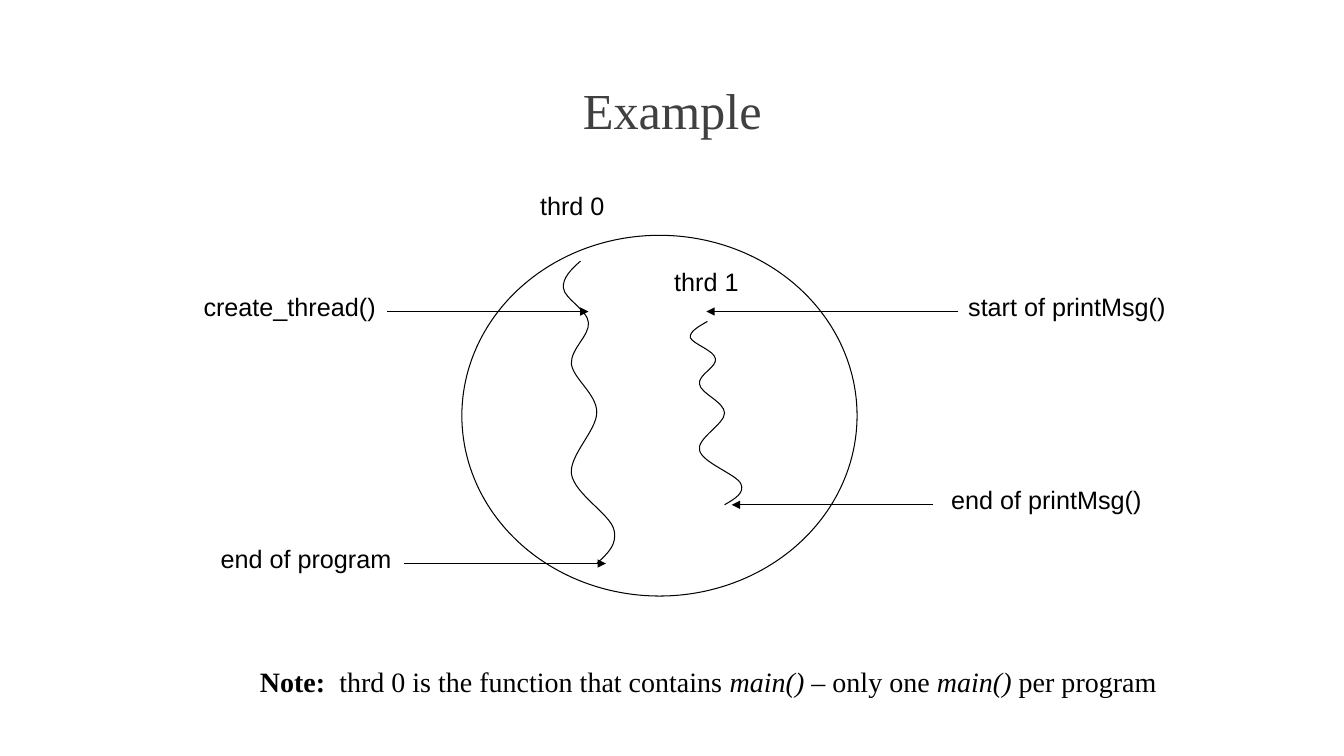
from lxml import etree
from pptx import Presentation
from pptx.dml.color import RGBColor
from pptx.enum.shapes import MSO_CONNECTOR, MSO_SHAPE
from pptx.enum.text import MSO_ANCHOR, MSO_AUTO_SIZE, PP_ALIGN
from pptx.oxml.ns import qn
from pptx.util import Cm, Pt

OVAL = MSO_SHAPE.OVAL
STRAIGHT = MSO_CONNECTOR.STRAIGHT
MIDDLE = MSO_ANCHOR.MIDDLE
FIT_SHAPE = MSO_AUTO_SIZE.SHAPE_TO_FIT_TEXT
FIXED_SIZE = MSO_AUTO_SIZE.NONE
CENTER = PP_ALIGN.CENTER

BLACK = "000000"
TITLE_FORMAT = {"name": "Times New Roman", "size": Pt(36), "color": "404040"}
LABEL_FORMAT = {"name": "Arial", "size": Pt(18), "color": BLACK}
NOTE_FORMAT = {"name": "Times New Roman", "size": Pt(20), "color": BLACK}

TITLE = ("Example", (2.34, 1.02, 29.21, 3.68))
PROCESS = (11.64, 5.93, 9.96, 9.09)
THREADS = [
    ("thrd 0", (13.36, 4.67), [
        (14.63, 6.58), (14.4, 6.78), (14.17, 7.01), (14.2, 7.26),
        (14.22, 7.52), (14.81, 7.82), (14.83, 8.13),
        (14.86, 8.46), (14.38, 8.79), (14.4, 9.17),
        (14.45, 9.55), (15.04, 9.93), (15.04, 10.39),
        (15.04, 10.85), (14.35, 11.46), (14.4, 11.94),
        (14.48, 12.45), (15.37, 12.95), (15.47, 13.34),
        (15.57, 13.72), (15.32, 13.94), (15.04, 14.2)]),
    ("thrd 1", (16.74, 6.58), [
        (17.83, 8.1), (17.6, 8.23), (17.37, 8.36), (17.4, 8.51),
        (17.45, 8.66), (18.01, 8.84), (18.03, 9.04),
        (18.08, 9.25), (17.58, 9.45), (17.63, 9.68),
        (17.65, 9.91), (18.26, 10.13), (18.26, 10.41),
        (18.26, 10.69), (17.55, 11.05), (17.63, 11.35),
        (17.7, 11.66), (18.57, 11.96), (18.67, 12.19),
        (18.78, 12.42), (18.52, 12.57), (18.26, 12.72)]),
]
EVENTS = [
    ("create_thread()", 4.88, 4.85, 9.75, 14.83, 7.85),
    ("start of printMsg()", 24.15, 5.49, 24.15, 17.8, 7.85),
    ("end of printMsg()", 23.72, 5.31, 23.52, 18.44, 12.72),
    ("end of program", 5.31, 4.83, 10.19, 15.27, 14.2),
]
NOTE = [
    ("Note:  ", {"bold": True}),
    ("thrd 0 is the function that contains ", {}),
    ("main()", {"italic": True}),
    (" – only one ", {}),
    ("main()", {"italic": True}),
    (" per program", {}),
]
NOTE_BOX = (6.3, 16.61, 23.24, 1.12)
THREAD_LABEL_WIDTH = 2.13
LABEL_HEIGHT = 1.02
ARROW_DROP = 0.64


def color(hex_value):
    return RGBColor.from_string(hex_value)


def add_text(slide, box, runs, text_format):
    shape = slide.shapes.add_textbox(*map(Cm, box))
    frame = shape.text_frame
    frame.word_wrap = False
    frame.auto_size = FIT_SHAPE
    paragraph = frame.paragraphs[0]
    for text, extra in runs:
        run = paragraph.add_run()
        run.text = text
        for name, value in {**text_format, **extra}.items():
            if name == "color":
                run.font.color.rgb = color(value)
            else:
                setattr(run.font, name, value)
    return frame


def style_outline(shape):
    shape.line.color.rgb = color(BLACK)
    shape.line.width = Pt(0.75)


def style_hollow(shape):
    shape.shadow.inherit = False
    shape.fill.background()
    style_outline(shape)


def add_curve(slide, controls):
    start, *others = [tuple(map(Cm, point)) for point in controls]
    builder = slide.shapes.build_freeform(*start)
    builder.add_line_segments(others, close=False)
    shape = builder.convert_to_shape()
    style_hollow(shape)
    segments = list(shape._element.iter(qn("a:lnTo")))
    for first in range(0, len(segments), 3):
        curve = etree.Element(qn("a:cubicBezTo"))
        segments[first].addprevious(curve)
        for segment in segments[first:first + 3]:
            curve.append(segment[0])
            segment.getparent().remove(segment)


def add_arrow(slide, start, end, y):
    arrow = slide.shapes.add_connector(STRAIGHT, Cm(start), Cm(y), Cm(end), Cm(y))
    style_outline(arrow)
    etree.SubElement(arrow.line._get_or_add_ln(), qn("a:tailEnd"), type="triangle")
    etree.SubElement(arrow._element.spPr, qn("a:effectLst"))


def main():
    presentation = Presentation()
    presentation.slide_width = Cm(33.87)
    presentation.slide_height = Cm(19.05)
    slide = presentation.slides.add_slide(presentation.slide_layouts[6])

    title, title_box = TITLE
    frame = add_text(slide, title_box, [(title, {})], TITLE_FORMAT)
    frame.auto_size = FIXED_SIZE
    frame.word_wrap = True
    frame.vertical_anchor = MIDDLE
    frame.paragraphs[0].alignment = CENTER
    frame.paragraphs[0].line_spacing = 0.9

    style_hollow(slide.shapes.add_shape(OVAL, *map(Cm, PROCESS)))

    for label, corner, controls in THREADS:
        add_curve(slide, controls)
        add_text(slide, (*corner, THREAD_LABEL_WIDTH, LABEL_HEIGHT),
                 [(label, {})], LABEL_FORMAT)

    for label, left, width, start, end, y in EVENTS:
        add_arrow(slide, start, end, y)
        add_text(slide, (left, y - ARROW_DROP, width, LABEL_HEIGHT),
                 [(label, {})], LABEL_FORMAT)

    add_text(slide, NOTE_BOX, NOTE, NOTE_FORMAT)
    presentation.save("out.pptx")


if __name__ == "__main__":
    main()
